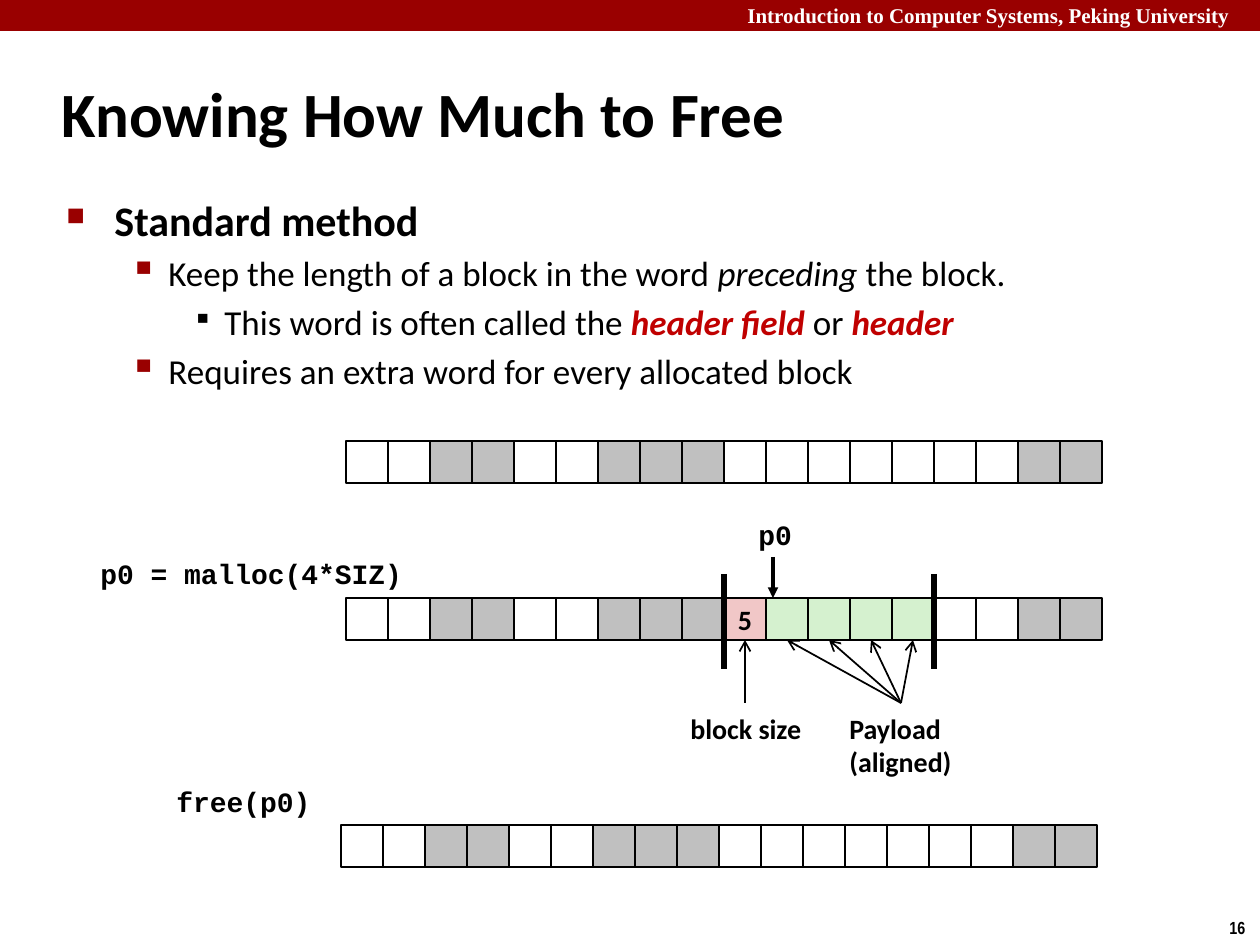
from lxml import etree
from pptx import Presentation
from pptx import util as u
from pptx.dml.color import RGBColor
from pptx.enum import shapes, text
from pptx.oxml import ns

SCALE = 914400 / 126
CELL = 42
BLACK, WHITE, RED, GRAY = "000000", "FFFFFF", "990000", "C0C0C0"
PINK, GREEN, ACCENT = "F1C7C7", "D5F1CF", "C00000"
CODE = {"name": "Courier New", "size": 16, "bold": True}
LABEL = {"name": "Calibri", "size": 16, "bold": True}
FREE_ROW = "wwggwwgggwwwwwwwgg"
USED_ROW = "wwggwwgggpllllwwgg"
FILLS = {"w": WHITE, "g": GRAY, "p": PINK, "l": GREEN}
LEVELS = [
    {"margin": 48, "indent": -48, "before": 4.8, "mark": "■", "color": RED, "percent": 60},
    {"margin": 102, "indent": -39, "before": 4, "mark": "▪", "color": RED, "percent": 110},
    {"margin": 158, "indent": -32, "before": 4, "mark": "▪", "color": BLACK, "percent": 80},
]


def px(length):
    return u.Emu(round(length * SCALE))


def rgb(value):
    return RGBColor.from_string(value)


def add_element(parent, tag, **values):
    element = etree.SubElement(parent, ns.qn(tag))
    for key, value in values.items():
        element.set(key, str(value))
    return element


def add_span(para, words, look, color=BLACK):
    span = para.add_run()
    span.text = words
    for key, value in look.items():
        setattr(span.font, key, u.Pt(value) if key == "size" else value)
    span.font.color.rgb = rgb(color)


def add_text(slide, place, words, look, color=BLACK, spacing=1.0):
    box = slide.shapes.add_textbox(*map(px, place))
    box.text_frame.word_wrap = False
    para = box.text_frame.paragraphs[0]
    para.line_spacing = spacing
    for index, line in enumerate(words.split("\n")):
        if index:
            para.add_line_break()
        add_span(para, line, look, color)


def add_title(slide, words):
    title = slide.shapes.title
    title.left, title.top, title.width, title.height = map(px, (49, 60, 1046, 105))
    title.text_frame.vertical_anchor = text.MSO_ANCHOR.MIDDLE
    para = title.text_frame.paragraphs[0]
    para.alignment = text.PP_ALIGN.LEFT
    add_span(para, words, {"name": "Calibri", "size": 36, "bold": True})


def add_bullet(para, level, spans):
    style = LEVELS[level]
    para.level = level
    para.space_before = u.Pt(style["before"])
    properties = para._p.get_or_add_pPr()
    properties.set("marL", str(px(style["margin"])))
    properties.set("indent", str(px(style["indent"])))
    color = add_element(properties, "a:buClr")
    add_element(color, "a:srgbClr", val=style["color"])
    add_element(properties, "a:buSzPct", val=style["percent"] * 1000)
    add_element(properties, "a:buChar", char=style["mark"])
    for words, emphasis, ink in spans:
        look = {"name": "Calibri", "size": 20 if level else 24, **emphasis}
        add_span(para, words, look, ink)


def add_body(slide, items):
    box = slide.shapes.add_textbox(*map(px, (54, 188, 1089, 685)))
    frame = box.text_frame
    frame.word_wrap = True
    for index, (level, spans) in enumerate(items):
        para = frame.add_paragraph() if index else frame.paragraphs[0]
        add_bullet(para, level, spans)


def add_rect(parent, place, fill, line=BLACK):
    rect = parent.shapes.add_shape(shapes.MSO_SHAPE.RECTANGLE, *map(px, place))
    rect.shadow.inherit = False
    rect.fill.solid()
    rect.fill.fore_color.rgb = rgb(fill)
    if line:
        rect.line.color.rgb = rgb(line)
        rect.line.width = u.Pt(1)
    else:
        rect.line.fill.background()
    return rect


def add_row(slide, left, top, pattern):
    group = slide.shapes.add_group_shape()
    return [
        add_rect(group, (left + index * CELL, top, CELL, CELL), FILLS[kind])
        for index, kind in enumerate(pattern)
    ]


def add_line(slide, start, end, width, head=None):
    line = slide.shapes.add_connector(
        shapes.MSO_CONNECTOR.STRAIGHT, *map(px, (*start, *end))
    )
    line.line.color.rgb = rgb(BLACK)
    line.line.width = u.Pt(width)
    if head:
        add_element(line.line._get_or_add_ln(), "a:tailEnd", type=head)
    add_element(line._element.spPr, "a:effectLst")


def add_block_size(cell):
    frame = cell.text_frame
    frame.word_wrap = False
    frame.vertical_anchor = text.MSO_ANCHOR.MIDDLE
    para = frame.paragraphs[0]
    para.alignment = text.PP_ALIGN.CENTER
    add_span(para, "5", LABEL)


def add_heap(slide):
    left, top = 346, 598
    add_row(slide, left, 441, FREE_ROW)
    cells = add_row(slide, left, top, USED_ROW)
    add_row(slide, 341, 825, FREE_ROW)
    header = USED_ROW.index("p")
    add_block_size(cells[header])

    block = left + header * CELL
    for edge in (block, block + 5 * CELL):
        add_line(slide, (edge, 574), (edge, 669), 3)
    add_line(slide, (773, 557), (773, top), 2, "triangle")
    bottom = top + CELL
    add_line(slide, (block + 21, 703), (block + 21, bottom), 1, "arrow")
    for index in range(1, 5):
        target = block + index * CELL + 21
        add_line(slide, (901, 703), (target, bottom), 1, "arrow")

    add_text(slide, (88, 553, 331, 45), "p0 = malloc(4*SIZ)", CODE, spacing=0.94)
    add_text(slide, (746, 514, 59, 44), "p0", CODE, spacing=0.94)
    add_text(slide, (164, 781, 161, 45), "free(p0)", CODE, spacing=0.94)
    add_text(slide, (678, 707, 137, 47), "block size", LABEL, spacing=0.98)
    add_text(slide, (837, 707, 129, 79), "Payload\n(aligned)", LABEL, spacing=0.98)


def main():
    deck = Presentation()
    deck.slide_width, deck.slide_height = px(1260), px(945)
    slide = deck.slides.add_slide(deck.slide_layouts[5])
    add_rect(slide, (0, 0, 1260, 31), RED, None)
    add_text(slide, (735, -4, 534, 38),
             "Introduction to Computer Systems, Peking University",
             {"name": "Times New Roman", "size": 12, "bold": True}, WHITE)
    add_text(slide, (1217, 911, 43, 34), "16",
             {"name": "Arial Narrow", "size": 10, "bold": True})
    add_title(slide, "Knowing How Much to Free")
    strong = {"bold": True, "italic": True}
    add_body(slide, [
        (0, [("Standard method", {"bold": True}, BLACK)]),
        (1, [("Keep the length of a block in the word ", {}, BLACK),
             ("preceding", {"italic": True}, BLACK),
             (" the block.", {}, BLACK)]),
        (2, [("This word is often called the ", {}, BLACK),
             ("header field ", strong, ACCENT),
             ("or ", {}, BLACK),
             ("header", strong, ACCENT)]),
        (1, [("Requires an extra word for every allocated block", {}, BLACK)]),
    ])
    add_heap(slide)
    deck.save("out.pptx")


if __name__ == "__main__":
    main()
